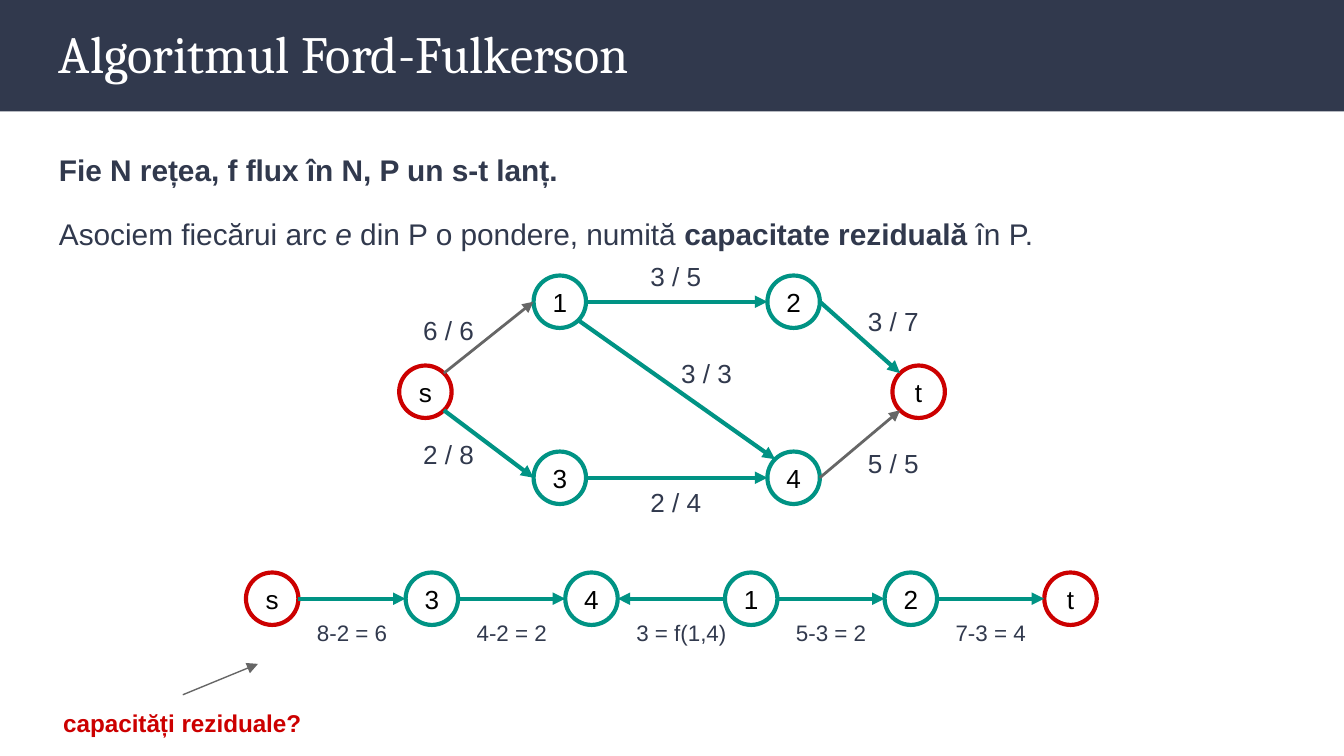
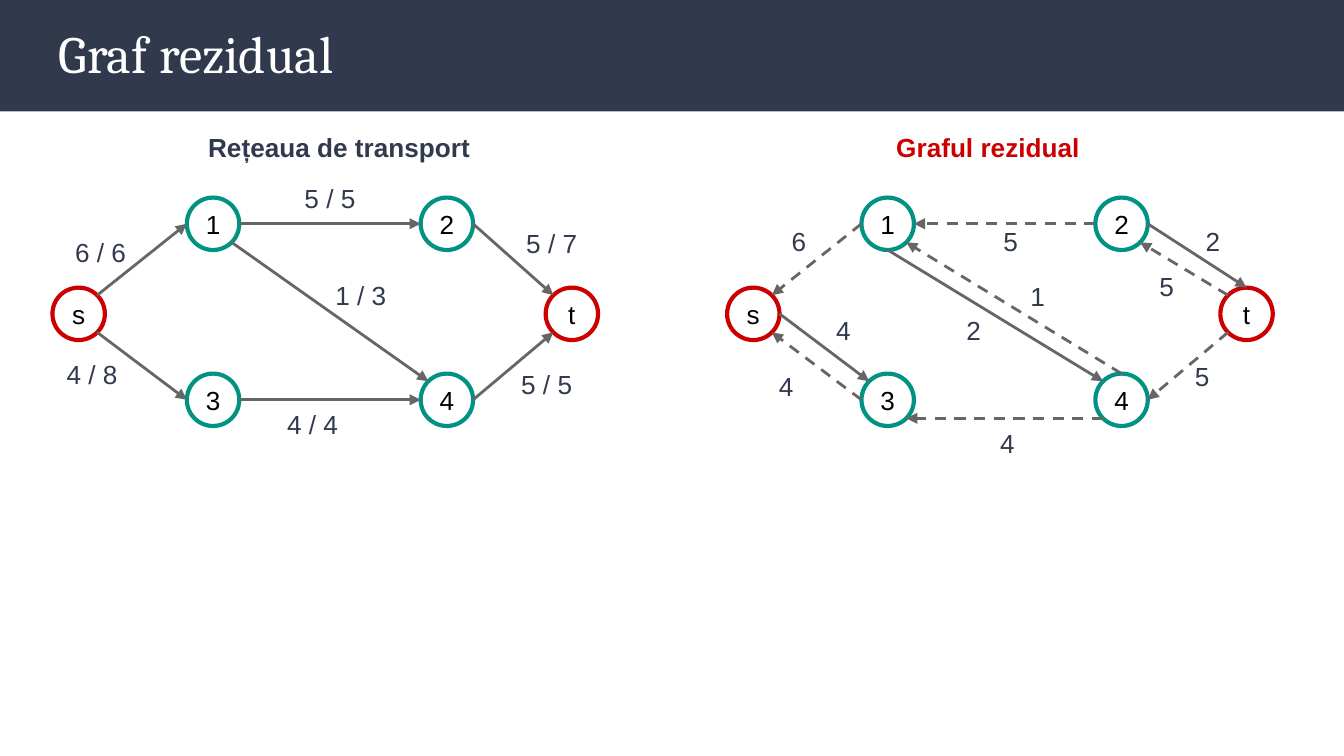
from dataclasses import dataclass
from math import sqrt

from lxml import etree
from pptx import Presentation
from pptx.dml.color import RGBColor
from pptx.enum import dml, shapes, text
from pptx.oxml.ns import qn
from pptx.util import Inches, Pt

NAVY, TEAL, RED, GRAY = "31394D", "009384", "CC0000", "666666"
BLACK, WHITE = "000000", "FFFFFF"
BODY_FONT, TITLE_FONT = "Arial", "Cambria"
LEFT, CENTER = text.PP_ALIGN.LEFT, text.PP_ALIGN.CENTER
SLIDE_WIDTH = Inches(10)
SLIDE_HEIGHT = SLIDE_WIDTH * 9 // 16
NODE_SIZE = 0.39
DIAGONAL = 1 / sqrt(2)

# Connection sites of an ellipse: index and direction from its centre
SITES = {
    "top": (0, 0, -1),
    "top left": (1, -DIAGONAL, -DIAGONAL),
    "left": (2, -1, 0),
    "bottom left": (3, -DIAGONAL, DIAGONAL),
    "bottom": (4, 0, 1),
    "bottom right": (5, DIAGONAL, DIAGONAL),
    "right": (6, 1, 0),
    "top right": (7, DIAGONAL, -DIAGONAL),
}

# Node offsets from node s
NETWORK_NODES = {
    "s": (0, 0), "4": (2.74, 0.64), "3": (1, 0.64),
    "2": (2.74, -0.67), "1": (1, -0.67), "t": (3.67, 0),
}


@dataclass(frozen=True)
class Stroke:
    color: str = GRAY
    width: float = 1.5
    dashed: bool = False


@dataclass(frozen=True)
class Edge:
    start: str
    start_site: str
    end: str
    end_site: str
    dashed: bool = False


@dataclass(frozen=True)
class Label:
    text: str
    left: float
    top: float
    width: float
    align: text.PP_ALIGN = CENTER
    size: float = 14
    color: str = NAVY
    bold: bool = False
    height: float = 0.44


PATH = Stroke(TEAL, 2.25)

TRANSPORT_EDGES = [
    Edge("s", "top right", "1", "left"),
    Edge("1", "right", "2", "left"),
    Edge("2", "right", "t", "top left"),
    Edge("s", "bottom right", "3", "left"),
    Edge("3", "right", "4", "left"),
    Edge("4", "right", "t", "bottom left"),
    Edge("1", "bottom right", "4", "top left"),
]
SATURATED = {("s", "1"), ("4", "t")}

RESIDUAL_EDGES = [
    Edge("s", "right", "3", "top left"),
    Edge("3", "left", "s", "bottom right", True),
    Edge("1", "left", "s", "top right", True),
    Edge("4", "bottom left", "3", "bottom right", True),
    Edge("4", "top", "1", "bottom right", True),
    Edge("2", "left", "1", "right", True),
    Edge("t", "top left", "2", "bottom right", True),
    Edge("t", "bottom left", "4", "right", True),
    Edge("2", "right", "t", "top"),
    Edge("1", "bottom", "4", "top left"),
]

FLOW_LABELS = [
    Label("3 / 5", 4.74, 1.84, 0.59, LEFT),
    Label("5 / 5", 6.36, 3.23, 1.03, LEFT),
    Label("2 / 8", 3.05, 3.16, 0.59, LEFT),
    Label("3 / 7", 6.36, 2.17, 0.66, LEFT),
    Label("3 / 3", 4.97, 2.56, 0.64, LEFT),
    Label("2 / 4", 4.74, 3.52, 0.59, LEFT),
    Label("6 / 6", 3.05, 2.24, 0.59, LEFT),
]
TRANSPORT_LABELS = [
    Label("Rețeaua de transport", 1.45, 0.88, 2.18, LEFT, bold=True),
    Label("5 / 5", 2.03, 1.26, 0.85),
    Label("5 / 5", 3.78, 2.64, 1.03, LEFT),
    Label("4 / 8", 0.32, 2.57, 0.73),
    Label("5 / 7", 3.78, 1.59, 0.65),
    Label("1 / 3", 2.39, 1.98, 0.59),
    Label("4 / 4", 1.9, 2.94, 0.85),
    Label("6 / 6", 0.46, 1.66, 0.59, LEFT),
]
RESIDUAL_LABELS = [
    Label("Graful rezidual", 6.57, 0.88, 1.59, LEFT, color=RED, bold=True),
    Label("6", 5.78, 1.58, 0.33),
    Label("4", 5.58, 2.66, 0.54),
    Label("4", 6.11, 2.24, 0.33),
    Label("4", 7.17, 3.08, 0.65),
    Label("1", 7.45, 1.99, 0.54),
    Label("5", 7.25, 1.58, 0.54),
    Label("5", 8.41, 1.91, 0.54),
    Label("5", 8.78, 2.58, 0.33),
    Label("2", 8.78, 1.58, 0.49),
    Label("2", 6.92, 2.24, 0.65),
]

CHAIN_NODES = ["s", "3", "4", "1", "2", "t"]
CHAIN_LABELS = ["8-2 = 6", "4-2 = 2", "3 = f(1,4)", "5-3 = 2", "7-3 = 4"]
CHAIN_LEFT, CHAIN_TOP, CHAIN_STEP = 1.83, 4.26, 5.94 / 5


def rgb(color: str) -> RGBColor:
    return RGBColor.from_string(color)


def style_font(font, size: float, color: str, name: str = BODY_FONT,
               bold: bool = False, italic: bool = False) -> None:
    font.name, font.size = name, Pt(size)
    font.bold, font.italic = bold, italic
    font.color.rgb = rgb(color)


def set_margins(frame, margin: float) -> None:
    frame.margin_left = frame.margin_right = Inches(margin)
    frame.margin_top = frame.margin_bottom = Inches(margin)


def add_text_box(slide, left: float, top: float, width: float, height: float):
    box = slide.shapes.add_textbox(Inches(left), Inches(top), Inches(width), Inches(height))
    frame = box.text_frame
    frame.word_wrap = True
    set_margins(frame, 0.1)
    return frame


def add_label(slide, label: Label) -> None:
    frame = add_text_box(slide, label.left, label.top, label.width, label.height)
    frame.auto_size = text.MSO_AUTO_SIZE.SHAPE_TO_FIT_TEXT
    paragraph = frame.paragraphs[0]
    paragraph.text = label.text
    paragraph.alignment = label.align
    style_font(paragraph.runs[0].font, label.size, label.color, bold=label.bold)


def add_node(slide, name: str, left: float, top: float):
    node = slide.shapes.add_shape(shapes.MSO_SHAPE.OVAL, Inches(left), Inches(top),
                                  Inches(NODE_SIZE), Inches(NODE_SIZE))
    node.shadow.inherit = False
    node.fill.background()
    node.line.color.rgb = rgb(RED if name in ("s", "t") else TEAL)
    node.line.width = Pt(2.25)
    frame = node.text_frame
    set_margins(frame, 0.02)
    frame.vertical_anchor = text.MSO_ANCHOR.MIDDLE
    paragraph = frame.paragraphs[0]
    paragraph.text = name
    paragraph.alignment = CENTER
    style_font(paragraph.runs[0].font, 14, BLACK)
    return node


def add_arrow(slide, start: tuple[int, int], end: tuple[int, int], stroke: Stroke):
    arrow = slide.shapes.add_connector(shapes.MSO_CONNECTOR.STRAIGHT, *start, *end)
    arrow.line.color.rgb = rgb(stroke.color)
    arrow.line.width = Pt(stroke.width)
    if stroke.dashed:
        arrow.line.dash_style = dml.MSO_LINE.DASH
    properties = arrow._element.spPr
    etree.SubElement(properties.find(qn("a:ln")), qn("a:tailEnd"), type="triangle")
    etree.SubElement(properties, qn("a:effectLst"))
    return arrow


def site_point(node, site: str) -> tuple[int, int]:
    _, across, down = SITES[site]
    radius = node.width / 2
    return (round(node.left + radius * (1 + across)),
            round(node.top + radius * (1 + down)))


def add_edge(slide, nodes: dict, edge: Edge, stroke: Stroke) -> None:
    """Draw an arrow joined to two of the eight sites of its ellipses."""
    start, end = nodes[edge.start], nodes[edge.end]
    arrow = add_arrow(slide, site_point(start, edge.start_site),
                      site_point(end, edge.end_site), stroke)
    joints = arrow._element.nvCxnSpPr.cNvCxnSpPr
    for tag, node, site in (("a:stCxn", start, edge.start_site),
                            ("a:endCxn", end, edge.end_site)):
        etree.SubElement(joints, qn(tag), id=str(node.shape_id), idx=str(SITES[site][0]))


def add_network(slide, left: float, top: float, edges: list[Edge],
                labels: list[Label], highlight: bool = False) -> None:
    nodes = {name: add_node(slide, name, left + across, top + down)
             for name, (across, down) in NETWORK_NODES.items()}
    for edge in edges:
        on_path = highlight and (edge.start, edge.end) not in SATURATED
        add_edge(slide, nodes, edge, PATH if on_path else Stroke(dashed=edge.dashed))
    for label in labels:
        add_label(slide, label)


def add_chain(slide) -> None:
    nodes = {name: add_node(slide, name, CHAIN_LEFT + i * CHAIN_STEP, CHAIN_TOP)
             for i, name in enumerate(CHAIN_NODES)}
    for i, (first, second) in enumerate(zip(CHAIN_NODES, CHAIN_NODES[1:])):
        if (first, second) == ("4", "1"):
            edge = Edge(second, "left", first, "right")
        else:
            edge = Edge(first, "right", second, "left")
        add_edge(slide, nodes, edge, PATH)
        width = 0.88 if "f" in CHAIN_LABELS[i] else 0.73
        add_label(slide, Label(CHAIN_LABELS[i], CHAIN_LEFT + 0.43 + i * CHAIN_STEP, 4.51,
                               width, LEFT, size=12, height=0.4))


def add_titled_slide(presentation, title: str):
    slide = presentation.slides.add_slide(presentation.slide_layouts[6])
    band = slide.shapes.add_shape(shapes.MSO_SHAPE.RECTANGLE, 0, 0,
                                  SLIDE_WIDTH, Inches(0.83))
    band.shadow.inherit = False
    band.fill.solid()
    band.fill.fore_color.rgb = rgb(NAVY)
    band.line.fill.background()
    frame = add_text_box(slide, 0.34, 0.06, 9.32, 0.68)
    frame.text = title
    style_font(frame.paragraphs[0].runs[0].font, 28, WHITE, TITLE_FONT)
    return slide


def add_definition(slide) -> None:
    paragraphs = [
        [("Fie N rețea, f flux în N, P un s-t lanț.", "bold")],
        [("Asociem fiecărui arc ", ""), ("e", "italic"),
         (" din P o pondere, numită ", ""), ("capacitate reziduală", "bold"),
         (" în P.", "")],
    ]
    frame = add_text_box(slide, 0.34, 0.99, 9.32, 4.48)
    for i, pieces in enumerate(paragraphs):
        paragraph = frame.add_paragraph() if i else frame.paragraphs[0]
        paragraph.line_spacing = 1.15
        if i:
            paragraph.space_before = paragraph.space_after = Pt(12)
        for words, emphasis in pieces:
            run = paragraph.add_run()
            run.text = words
            style_font(run.font, 16, NAVY, bold=emphasis == "bold",
                       italic=emphasis == "italic")


def build_algorithm_slide(presentation) -> None:
    slide = add_titled_slide(presentation, "Algoritmul Ford-Fulkerson")
    add_definition(slide)
    add_network(slide, 2.97, 2.72, TRANSPORT_EDGES, FLOW_LABELS, highlight=True)
    add_chain(slide)
    add_arrow(slide, (Inches(1.36), Inches(5.17)), (Inches(1.92), Inches(4.94)),
              Stroke(width=0.75))
    add_label(slide, Label("capacități reziduale?", 0.34, 5.17, 2.03, size=13,
                           color=RED, bold=True, height=0.42))


def build_residual_slide(presentation) -> None:
    slide = add_titled_slide(presentation, "Graf rezidual")
    add_network(slide, 0.39, 2.14, TRANSPORT_EDGES, TRANSPORT_LABELS)
    add_network(slide, 5.41, 2.14, RESIDUAL_EDGES, RESIDUAL_LABELS)


def main() -> None:
    presentation = Presentation()
    presentation.slide_width, presentation.slide_height = SLIDE_WIDTH, SLIDE_HEIGHT
    build_algorithm_slide(presentation)
    build_residual_slide(presentation)
    presentation.save("out.pptx")


if __name__ == "__main__":
    main()
